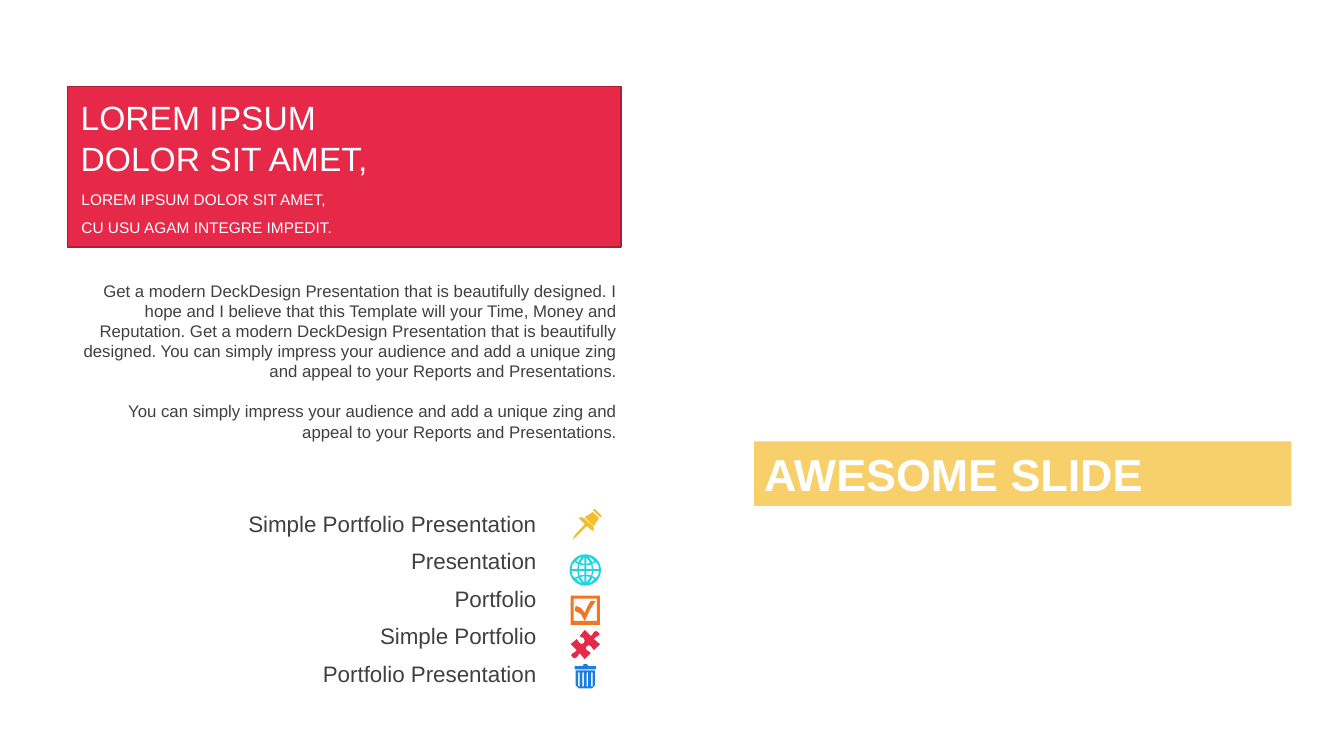
from math import cos, pi, sin

from lxml import etree
from pptx import Presentation
from pptx.dml.color import RGBColor
from pptx.enum.text import MSO_ANCHOR, MSO_AUTO_SIZE, PP_ALIGN
from pptx.enum.shapes import MSO_SHAPE
from pptx.oxml.ns import qn
from pptx.util import Inches, Pt

RECT = MSO_SHAPE.RECTANGLE
TOP, MIDDLE = MSO_ANCHOR.TOP, MSO_ANCHOR.MIDDLE
RIGHT, JUSTIFY = PP_ALIGN.RIGHT, PP_ALIGN.JUSTIFY
NO_FIT = MSO_AUTO_SIZE.NONE

# Content
HEADING = ["LOREM IPSUM", "DOLOR SIT AMET,"]
SUBHEADING = ["LOREM IPSUM DOLOR SIT AMET,", "CU USU AGAM INTEGRE IMPEDIT."]
BODY = [
    "Get a modern DeckDesign Presentation that is beautifully designed. "
    "I hope and I believe that this Template will your Time, Money and "
    "Reputation. Get a modern DeckDesign Presentation that is beautifully "
    "designed. You can simply impress your audience and add a unique zing "
    "and appeal to your Reports and Presentations.",
    "You can simply impress your audience and add a unique zing and appeal "
    "to your Reports and Presentations.",
]
LABELS = ["Simple Portfolio Presentation", "Presentation", "Portfolio",
          "Simple Portfolio", "Portfolio Presentation"]
BANNER = ["AWESOME SLIDE"]

COLORS = {"red": "E62949", "dark_red": "AA1E36", "yellow": "F4BD2D",
          "cyan": "1ED4DE", "orange": "F07624", "blue": "1C7DE1",
          "text": "404040", "white": "FFFFFF"}
FONT = "Arial"

# Icon outlines, in inches on the slide
PIN = [
    [(5.79, 5.14), (5.88, 5.22), (5.89, 5.245), (5.88, 5.27), (5.82, 5.22),
     (5.71, 5.33), (5.68, 5.35), (5.7, 5.31), (5.8, 5.2), (5.74, 5.14),
     (5.765, 5.13)],
    [(5.88, 5.08), (5.94, 5.14), (5.89, 5.22), (5.8, 5.13)],
    [(5.9, 5.05), (5.96, 5.11), (5.97, 5.12), (5.96, 5.13), (5.95, 5.13),
     (5.89, 5.07), (5.88, 5.06), (5.89, 5.05)],
]
CHECKBOX = [
    [(5.66, 5.91), (5.95, 5.91), (5.95, 6.2), (5.66, 6.2)],
    [(5.69, 5.94), (5.92, 5.94), (5.92, 6.16), (5.69, 6.16)],
    [(5.7, 6.06), (5.71, 6.01), (5.76, 6.03), (5.8, 6.08), (5.83, 6.01),
     (5.86, 5.96), (5.91, 5.96), (5.85, 6.05), (5.8, 6.16), (5.76, 6.09)],
]
PUZZLE = [
    [(5.93, 6.27), (5.945, 6.285), (5.945, 6.3), (5.93, 6.31), (5.91, 6.32),
     (5.89, 6.34), (5.95, 6.39), (5.89, 6.45), (5.875, 6.43), (5.86, 6.41),
     (5.84, 6.4), (5.82, 6.41), (5.81, 6.43), (5.82, 6.45), (5.845, 6.465),
     (5.86, 6.48), (5.8, 6.54), (5.75, 6.48), (5.735, 6.5), (5.72, 6.52),
     (5.7, 6.53), (5.68, 6.52), (5.665, 6.5), (5.68, 6.48), (5.7, 6.47),
     (5.72, 6.45), (5.66, 6.39), (5.72, 6.34), (5.735, 6.36), (5.75, 6.38),
     (5.77, 6.39), (5.79, 6.38), (5.8, 6.355), (5.79, 6.33), (5.765, 6.32),
     (5.75, 6.31), (5.8, 6.25), (5.86, 6.31), (5.88, 6.29), (5.89, 6.27),
     (5.91, 6.26)],
]
TRASH_CAN = [
    [(5.71, 6.65), (5.9, 6.65), (5.9, 6.8), (5.87, 6.83), (5.74, 6.83),
     (5.71, 6.8)],
    [(5.79, 6.59), (5.82, 6.59), (5.83, 6.6), (5.83, 6.61), (5.91, 6.61),
     (5.91, 6.64), (5.7, 6.64), (5.7, 6.61), (5.78, 6.61), (5.78, 6.6)],
]
# One quarter of the globe's openings, in inches from its centre
GLOBE_CENTER, GLOBE_RADIUS = (5.805, 5.655), 0.155
GLOBE_QUARTER = [
    [(0.01, 0.01), (0.01, 0.05), (0.04, 0.05), (0.06, 0.055), (0.065, 0.01)],
    [(0.01, 0.125), (0.01, 0.06), (0.05, 0.07), (0.03, 0.1)],
    [(0.08, 0.01), (0.07, 0.06), (0.105, 0.08), (0.13, 0.05), (0.135, 0.01)],
    [(0.03, 0.13), (0.05, 0.11), (0.07, 0.075), (0.09, 0.09), (0.06, 0.12)],
]


def rgb(name):
    return RGBColor.from_string(COLORS[name])


def write(sp, box, lines, size, color, align, anchor=TOP, spacing=1.0,
          gap=0, bold=False, inset=0.1):
    """Place a shape and fill it with plain paragraphs."""
    sp.left, sp.top, sp.width, sp.height = [Inches(v) for v in box]
    tf = sp.text_frame
    tf.word_wrap, tf.auto_size, tf.vertical_anchor = True, NO_FIT, anchor
    tf.margin_left = tf.margin_right = Inches(inset)
    tf.margin_top = tf.margin_bottom = Inches(0.05)
    for i, line in enumerate(lines):
        p = tf.add_paragraph() if i else tf.paragraphs[0]
        pPr = p._p.get_or_add_pPr()
        pPr.set("marL", "0")
        pPr.set("indent", "0")
        etree.SubElement(pPr, qn("a:buNone"))
        p.alignment, p.line_spacing = align, spacing
        p.space_before = Pt(gap if i else 0)
        r = p.add_run()
        r.text = line
        r.font.name, r.font.size, r.font.bold = FONT, Pt(size), bold
        r.font.color.rgb = rgb(color)


def add_panel(box, color):
    sp = slide.shapes.add_shape(RECT, *[Inches(v) for v in box])
    paint(sp, color)
    return sp


def paint(sp, color):
    sp.shadow.inherit = False
    sp.fill.solid()
    sp.fill.fore_color.rgb = rgb(color)
    sp.line.fill.background()


def add_icon(contours, color):
    points = [[(Inches(x), Inches(y)) for x, y in c] for c in contours]
    builder = slide.shapes.build_freeform(*points[0][0])
    for i, contour in enumerate(points):
        if i:
            builder.move_to(*contour[0])
        builder.add_line_segments(contour[1:], close=True)
    paint(builder.convert_to_shape(), color)


prs = Presentation()
prs.slide_width, prs.slide_height = Inches(13.33), Inches(7.5)
slide = prs.slides.add_slide(prs.slide_layouts[1])
title, body = slide.placeholders[0], slide.placeholders[1]

# Description and labels
write(body, (0.63, 2.73, 5.61, 1.72), BODY, 12, "text", RIGHT,
      gap=14.4, inset=0.12)
for i, label in enumerate(LABELS):
    sp = slide.shapes.add_textbox(0, 0, 0, 0)
    write(sp, (2.19, 5.06 + i * 0.3725, 3.23, 0.32), [label], 16, "text",
          RIGHT, spacing=0.8)

# Icons
cx, cy = GLOBE_CENTER
angles = [2 * pi * i / 60 for i in range(60)]
globe = [[(cx + GLOBE_RADIUS * cos(a), cy + GLOBE_RADIUS * sin(a))
          for a in angles]]
globe += [[(cx + sx * x, cy + sy * y) for x, y in cell]
          for sx in (-1, 1) for sy in (-1, 1) for cell in GLOBE_QUARTER]
slots = [[(x, 6.67), (x + 0.015, 6.67), (x + 0.015, 6.81), (x, 6.81)]
         for x in [5.733 + i * 0.043 for i in range(4)]]
for contours, color in [(PIN, "yellow"), (globe, "cyan"),
                        (CHECKBOX, "orange"), (PUZZLE, "red"),
                        (TRASH_CAN + slots, "blue")]:
    add_icon(contours, color)

# Yellow banner
banner_box = (7.48, 4.38, 5.33, 0.64)
banner = add_panel(banner_box, "yellow")
fill_color = banner._element.spPr.find(qn("a:solidFill"))[0]
etree.SubElement(fill_color, qn("a:alpha")).set("val", "70000")
write(banner, banner_box, BANNER, 32, "white", JUSTIFY, bold=True)

# Red heading panel, with the title in front of it
panel = add_panel((0.67, 0.86, 5.49, 1.59), "red")
panel.line.color.rgb = rgb("dark_red")
panel.line.width = Pt(1)
sp = slide.shapes.add_textbox(0, 0, 0, 0)
write(sp, (0.71, 1.76, 5.43, 0.62), SUBHEADING, 11, "white", JUSTIFY,
      anchor=MIDDLE, spacing=1.5)
write(title, (0.7, 0.91, 5.43, 0.91), HEADING, 24, "white", JUSTIFY,
      anchor=MIDDLE)
panel._element.addnext(title._element)

prs.save("out.pptx")
